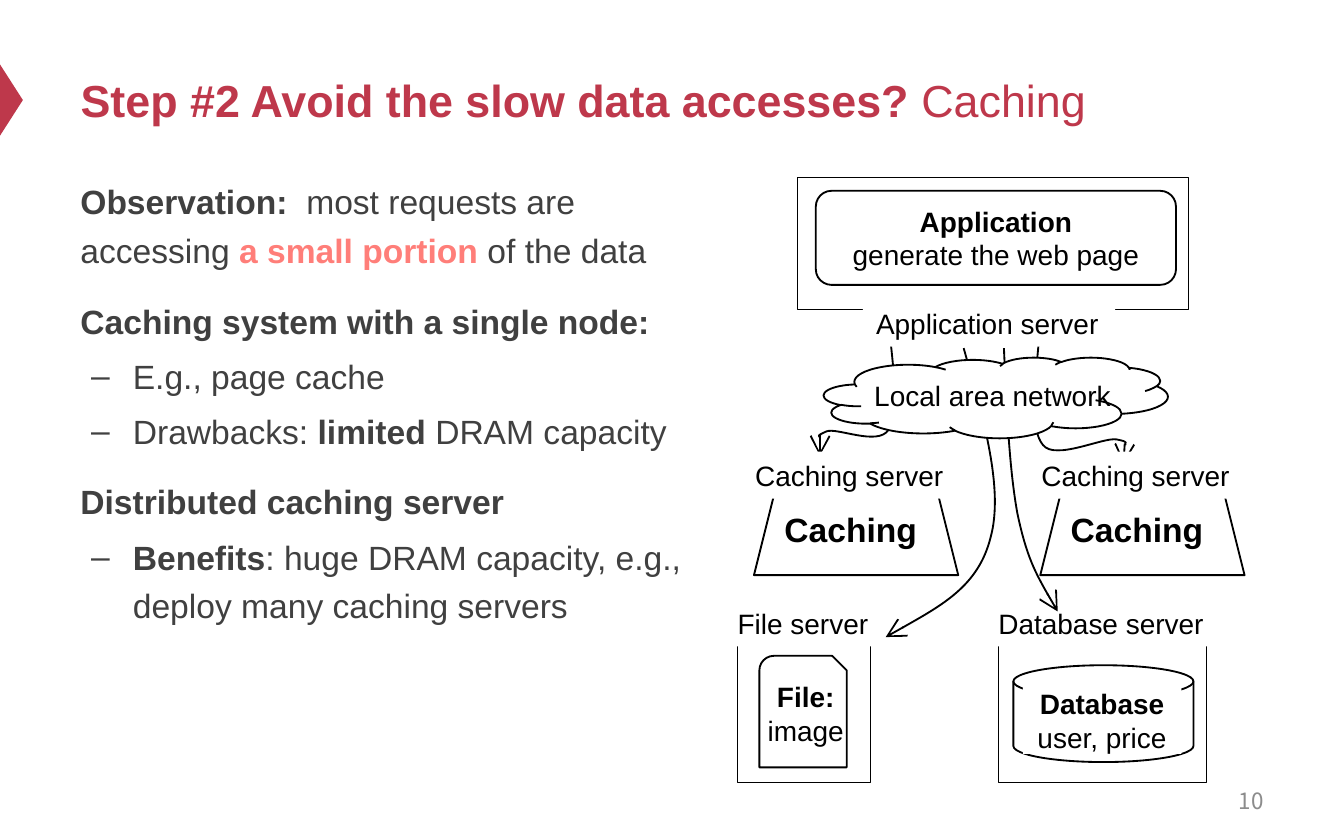
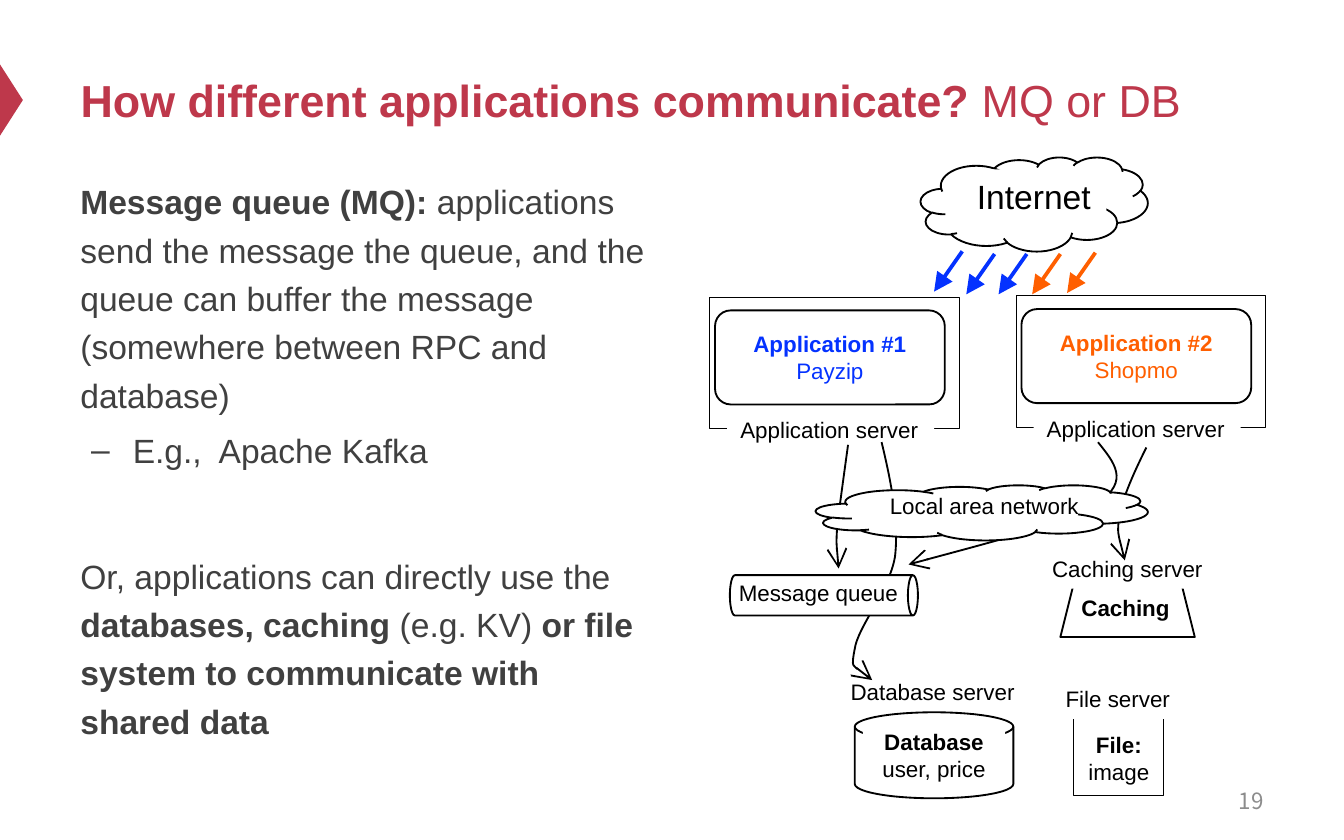
from dataclasses import dataclass

from lxml.etree import SubElement
from pptx import Presentation
from pptx.dml.color import RGBColor
from pptx.enum.shapes import MSO_CONNECTOR, MSO_SHAPE
from pptx.enum.text import MSO_ANCHOR, PP_ALIGN
from pptx.oxml.ns import qn
from pptx.util import Inches, Pt


@dataclass(frozen=True)
class Theme:
    font: str = "Arial"
    digit: str = "Noto Sans CJK SC"
    red: str = "BE384B"
    grey: str = "404040"
    pale: str = "8C8C8C"
    pink: str = "FF7E79"
    black: str = "000000"
    white: str = "FFFFFF"
    blue: str = "0432FF"
    orange: str = "FF5F00"
    title: int = 24
    body: int = 18
    large: int = 15
    small: int = 12
    thin: float = 0.5
    line: float = 1
    thick: float = 2


T = Theme()

# Label widths in ems
EMS = {"Application server": 8.05, "Database server": 7.4,
       "Caching server": 6.8, "File server": 4.75, "Internet": 3.45}


def rgb(hue):
    return RGBColor.from_string(hue)


def place(part, box):
    part.left, part.top, part.width, part.height = map(Inches, box)


# ---- Text ----
def style(par, size, hue, font=T.font):
    par.font.name = font
    par.font.size = Pt(size)
    par.font.color.rgb = rgb(hue)


def fill_runs(par, runs):
    """Each run is plain text, or (text, hue) for bold text."""
    for item in runs:
        text, hue = (item, None) if isinstance(item, str) else item
        run = par.add_run()
        run.text = text
        run.font.bold = not isinstance(item, str)
        if hue:
            run.font.color.rgb = rgb(hue)


def write(frame, rows, size, hue=T.black, align=PP_ALIGN.CENTER):
    for num, runs in enumerate(rows):
        par = frame.add_paragraph() if num else frame.paragraphs[0]
        par.alignment = align
        style(par, size, hue)
        fill_runs(par, runs)


def note(slide, box, rows, size, wrap=True):
    frame = slide.shapes.add_textbox(*map(Inches, box)).text_frame
    frame.word_wrap = wrap
    write(frame, rows, size)


# ---- Shapes ----
def shape(slide, kind, box, fill=T.white, line=T.line):
    part = slide.shapes.add_shape(kind, *map(Inches, box))
    part.shadow.inherit = False
    if fill:
        part.fill.solid()
        part.fill.fore_color.rgb = rgb(fill)
    else:
        part.fill.background()
    if line:
        part.line.color.rgb = rgb(T.black)
        part.line.width = Pt(line)
    else:
        part.line.fill.background()
    return part


def panel(slide, box, rows, size, wrap=True, align=PP_ALIGN.CENTER):
    frame = shape(slide, MSO_SHAPE.RECTANGLE, box, line=None).text_frame
    frame.word_wrap = wrap
    frame.vertical_anchor = MSO_ANCHOR.TOP
    write(frame, rows, size, align=align)


def label(slide, x, y, text, size):
    box = (x, y, 0.2 + EMS[text] * size / 72, 0.1 + 1.2 * size / 72)
    panel(slide, box, [[text]], size, False, PP_ALIGN.LEFT)


def tip(part, kind):
    SubElement(part.line._get_or_add_ln(), qn("a:tailEnd"),
               type=kind, w="lg", len="lg")


def arrow(slide, x, y, hue):
    part = slide.shapes.add_connector(
        MSO_CONNECTOR.STRAIGHT,
        *map(Inches, (x, y, x - 0.21, y + 0.3)))
    part.line.color.rgb = rgb(hue)
    part.line.width = Pt(T.thick)
    tip(part, "triangle")
    SubElement(part._element.spPr, qn("a:effectLst"))


def curve(slide, start, *parts):
    """Draws cubic curves; each part is two control points and an end."""
    pen = slide.shapes.build_freeform(*map(Inches, start))
    pen.add_line_segments([tuple(map(Inches, part[-1])) for part in parts],
                          close=False)
    wire = pen.convert_to_shape()
    # Bend the straight segments
    route = next(wire._element.iter(qn("a:path")))
    for old, part in zip(route.findall(qn("a:lnTo")), parts):
        route.remove(old)
        bend = SubElement(route, qn("a:cubicBezTo"))
        for x, y in part:
            SubElement(bend, qn("a:pt"), x=str(Inches(x) - wire.left),
                       y=str(Inches(y) - wire.top))
    wire.shadow.inherit = False
    wire.fill.background()
    wire.line.color.rgb = rgb(T.black)
    wire.line.width = Pt(T.line)
    tip(wire, "arrow")


# ---- Diagram parts ----
def server(slide, x, y, wide, inner, tag, rows, size, hue=T.black):
    """inner is (left, width) and tag (left, top), both from the corner."""
    shape(slide, MSO_SHAPE.RECTANGLE, (x, y, wide, 0.98), line=T.thin)
    app = shape(slide, MSO_SHAPE.ROUNDED_RECTANGLE,
                (x + inner[0], y + 0.1, inner[1], 0.7))
    app.text_frame.word_wrap = True
    app.text_frame.vertical_anchor = MSO_ANCHOR.MIDDLE
    write(app.text_frame, rows, size, hue)
    label(slide, x + tag[0], y + tag[1], "Application server", size)


def cache(slide, box, tag, word, size, big):
    """tag and word are offsets from the corner of the box."""
    x, y = box[:2]
    shape(slide, MSO_SHAPE.TRAPEZOID, box)
    note(slide, (x + word[0], y + word[1], word[2], 0.1 + 1.2 * big / 72),
         [[("Caching", None)]], big, wrap=False)
    label(slide, x + tag[0], y + tag[1], "Caching server", size)


def store(slide, box, word, size):
    x, y = box[:2]
    shape(slide, MSO_SHAPE.FLOWCHART_MAGNETIC_DISK, box, fill=None)
    panel(slide, (x + word[0], y + word[1], *word[2:]),
          [[("Database", None)], ["user, price"]], size)


def files(slide, box, page, word, tag, size):
    x, y = box[:2]
    shape(slide, MSO_SHAPE.RECTANGLE, box, line=T.thin)
    if page:
        shape(slide, MSO_SHAPE.SNIP_ROUND_RECTANGLE,
              (x + page[0], y + page[1], *page[2:]))
    note(slide, (x + word[0], y + word[1], 0.99, 0.1 + 2.4 * size / 72),
         [[("File:", None)], ["image"]], size)
    label(slide, x + tag[0], y + tag[1], "File server", size)


def network(slide, box, pad, size):
    x, y = box[:2]
    shape(slide, MSO_SHAPE.CLOUD, box)
    note(slide, (x + 0.04, y + pad, 2.43, 0.1 + 1.2 * size / 72),
         [["Local area network"]], size)


def queue(slide, x, y, wide, tall):
    # A can turned on its side
    can = shape(slide, MSO_SHAPE.CAN,
                (x + (wide - tall) / 2, y + (tall - wide) / 2, tall, wide))
    can.rotation = 90
    note(slide, (x - 0.04, y - 0.02, wide, tall),
         [["Message queue"]], T.small)


# ---- Shared slide parts ----
def base(deck, title, page):
    slide = deck.slides.add_slide(deck.slide_layouts[5])
    mark = shape(slide, MSO_SHAPE.ISOSCELES_TRIANGLE,
                 (-0.18, 0.66, 0.53, 0.17), T.red, None)
    mark.rotation = 90
    head = slide.shapes.title
    place(head, (0.5, 0.25, 9, 0.98))
    head.text_frame.word_wrap = True
    head.text_frame.vertical_anchor = MSO_ANCHOR.MIDDLE
    write(head.text_frame, [title], T.title, T.red, PP_ALIGN.LEFT)
    # Page number
    foot = slide.shapes.add_textbox(*map(Inches, (7.17, 5.79, 2.33, 0.33)))
    foot.text_frame.vertical_anchor = MSO_ANCHOR.MIDDLE
    foot.text_frame.word_wrap = True
    par = foot.text_frame.paragraphs[0]
    par.alignment = PP_ALIGN.RIGHT
    style(par, T.small, T.pale, T.digit)
    par.add_run().text = page
    return slide


def body(slide, box, rows):
    """Each row is (space before, is bullet, runs)."""
    frame = slide.shapes.add_textbox(*map(Inches, box)).text_frame
    frame.word_wrap = True
    for num, (gap, dash, runs) in enumerate(rows):
        par = frame.add_paragraph() if num else frame.paragraphs[0]
        if dash:
            prop = par._p.get_or_add_pPr()
            prop.set("marL", str(Inches(0.39)))
            prop.set("indent", str(Inches(-0.31)))
            SubElement(prop, qn("a:buFont"), typeface=T.font)
            SubElement(prop, qn("a:buChar"), char="–")
        par.line_spacing = 1.2
        par.space_before = Pt(gap)
        style(par, T.body, T.grey)
        fill_runs(par, runs)


# ---- Slides ----
def caching(deck):
    slide = base(deck, [("Step #2 Avoid the slow data accesses? ", None),
                        "Caching"], "10")
    body(slide, (0.5, 1.24, 4.68, 4.12), [
        (0, False, [("Observation:  ", None), "most requests are accessing ",
                    ("a small portion ", T.pink), "of the data"]),
        (12, False, [("Caching system with a single node:", None)]),
        (3.6, True, ["E.g., page cache"]),
        (3.6, True, ["Drawbacks: ", ("limited", None), " DRAM capacity"]),
        (12, False, [("Distributed caching server", None)]),
        (3.6, True, [("Benefits", None), ": huge DRAM capacity, e.g., "
                     "deploy many caching servers"]),
    ])
    # Database server
    shape(slide, MSO_SHAPE.RECTANGLE, (7.43, 4.74, 1.55, 1.08), line=T.thin)
    label(slide, 7.33, 4.46, "Database server", T.large)
    store(slide, (7.54, 4.95, 1.34, 0.72), (0.07, 0.11, 1.18, 0.55), T.large)
    # Request paths
    curve(slide, (6.62, 2.48), ((6.65, 2.77), (6.69, 3.07), (6.61, 3.2)),
          ((6.53, 3.32), (6.23, 3.18), (6.15, 3.21)),
          ((6.06, 3.25), (6.08, 3.32), (6.1, 3.39)))
    curve(slide, (7.73, 2.54), ((7.7, 2.86), (7.66, 3.19), (7.76, 3.31)),
          ((7.85, 3.43), (8.21, 3.25), (8.31, 3.27)),
          ((8.41, 3.29), (8.38, 3.37), (8.36, 3.45)))
    curve(slide, (7.47, 2.59), ((7.49, 3.04), (7.51, 3.49), (7.57, 3.82)),
          ((7.64, 4.15), (7.75, 4.35), (7.87, 4.55)))
    curve(slide, (7.17, 2.59), ((7.32, 3.12), (7.47, 3.64), (7.37, 4)),
          ((7.28, 4.36), (6.93, 4.55), (6.59, 4.74)))
    # Servers and network
    server(slide, 5.93, 1.32, 2.91, (0.14, 2.68), (0.49, 0.91),
           [[("Application", None)], ["generate the web page"]], T.large)
    files(slide, (5.49, 4.74, 0.99, 1.08), (0.16, 0.14, 0.65, 0.83),
          (0.01, 0.27), (-0.1, -0.28), T.large)
    network(slide, (6.13, 2.66, 2.56, 0.6), 0.11, T.large)
    for x in (5.61, 7.74):
        cache(slide, (x, 3.65, 1.52, 0.63), (-0.09, -0.29),
              (0.12, 0.09, 1.2), T.large, T.body)


def talking(deck):
    slide = base(deck, [("How different applications communicate?", None),
                        " MQ or DB"], "19")
    body(slide, (0.5, 1.24, 4.5, 4.56), [
        (0, False, [("Message queue (MQ): ", None),
                    "applications send the message the queue, and the queue "
                    "can buffer the message (somewhere between RPC and "
                    "database)"]),
        (3.6, True, ["E.g.,  Apache Kafka"]),
        (41.5, False, ["Or, applications can directly use the ",
                       ("databases, caching ", None), "(e.g. KV)",
                       (" or file system to communicate with shared data",
                        None)]),
    ])
    # Internet and its requests
    shape(slide, MSO_SHAPE.CLOUD, (6.85, 1.17, 1.69, 0.7))
    label(slide, 7.17, 1.26, "Internet", T.body)
    for x, y, hue in ((7.16, 1.87, T.blue), (7.4, 1.89, T.blue),
                      (7.64, 1.89, T.blue), (7.89, 1.89, T.orange),
                      (8.15, 1.88, T.orange)):
        arrow(slide, x, y, hue)
    # Application servers
    for x, y, name, firm, hue in (
            (5.28, 2.21, "Application #1", "Payzip", T.blue),
            (7.56, 2.2, "Application #2", "Shopmo", T.orange)):
        server(slide, x, y, 1.86, (0.04, 1.71), (0.13, 0.84),
               [[(name, hue)], [firm]], T.small, hue)
    # Data servers
    label(slide, 6.23, 5, "Database server", T.small)
    store(slide, (6.36, 5.3, 1.18, 0.64), (0.06, 0.07, 1.06, 0.5), T.small)
    files(slide, (7.99, 5.24, 0.67, 0.68), None, (-0.16, 0.15),
          (-0.16, -0.19), T.small)
    cache(slide, (7.89, 4.3, 1, 0.44), (-0.16, -0.22),
          (0.05, 0.07, 0.87), T.small, T.small)
    # Message paths, queue and network
    curve(slide, (8.17, 3.29), ((8.29, 3.44), (8.41, 3.58), (8.17, 3.74)),
          ((7.94, 3.89), (7.35, 4.04), (6.76, 4.2)))
    curve(slide, (8.53, 3.33), ((8.44, 3.51), (8.36, 3.69), (8.33, 3.83)),
          ((8.31, 3.97), (8.34, 4.07), (8.37, 4.17)))
    curve(slide, (6.56, 3.29), ((6.63, 3.58), (6.69, 3.88), (6.66, 4.14)),
          ((6.62, 4.39), (6.38, 4.67), (6.36, 4.83)),
          ((6.33, 4.98), (6.41, 5.02), (6.49, 5.06)))
    queue(slide, 5.43, 4.28, 1.4, 0.3)
    curve(slide, (6.31, 3.31), ((6.28, 3.53), (6.25, 3.75), (6.23, 3.9)),
          ((6.22, 4.06), (6.23, 4.15), (6.24, 4.23)))
    network(slide, (6.07, 3.61, 2.47, 0.41), 0, T.small)


def main():
    deck = Presentation()
    deck.slide_width, deck.slide_height = Inches(10), Inches(6.25)
    caching(deck)
    talking(deck)
    deck.save("out.pptx")


if __name__ == "__main__":
    main()
